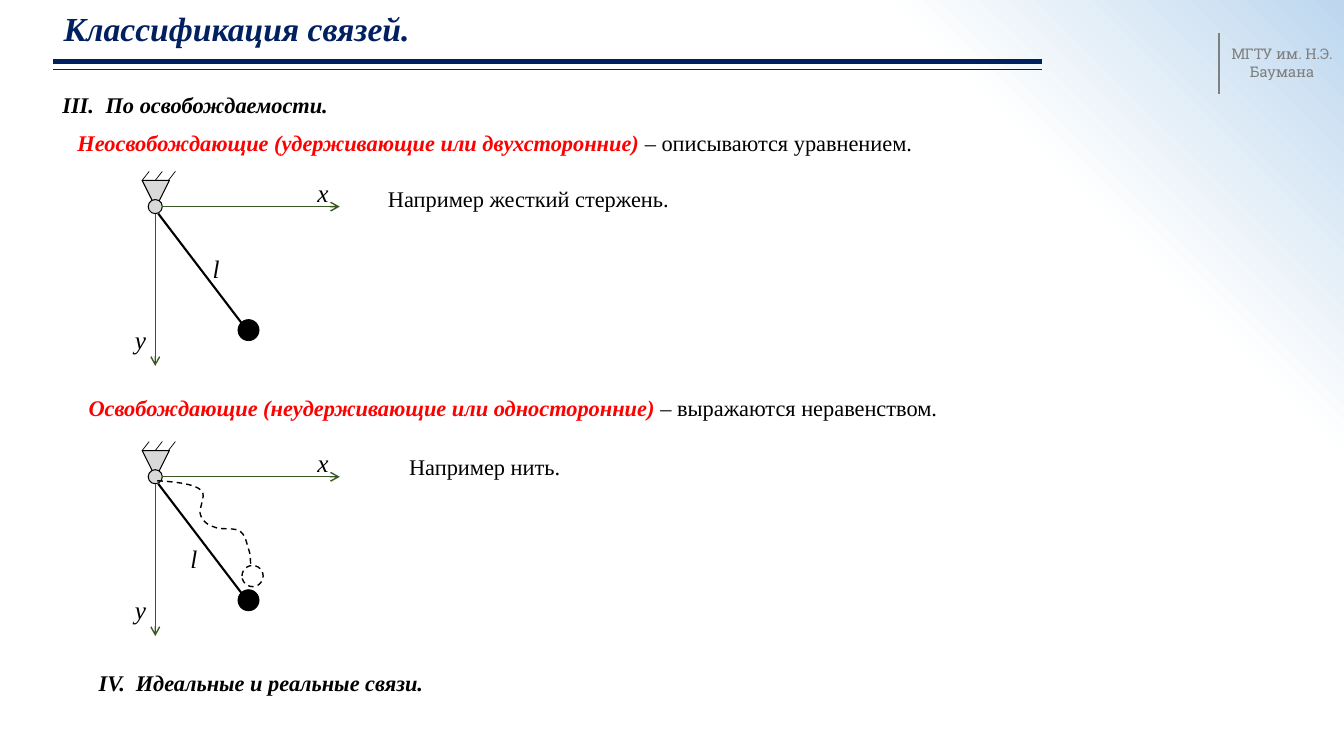
from dataclasses import dataclass

from lxml.etree import SubElement
from pptx import Presentation
from pptx.dml.color import RGBColor
from pptx.enum.dml import MSO_LINE_DASH_STYLE as Dash
from pptx.enum.shapes import MSO_CONNECTOR, MSO_SHAPE
from pptx.enum.text import MSO_ANCHOR, MSO_AUTO_SIZE, PP_ALIGN
from pptx.oxml.ns import qn
from pptx.util import Inches, Pt


@dataclass(frozen=True)
class Theme:
    navy: str = "002060"
    black: str = "000000"
    red: str = "FF0000"
    gray: str = "808080"
    support: str = "D9D9D9"
    axis: str = "385723"
    white: str = "FFFFFF"
    sky: str = "BDD7EE"
    serif: str = "Times New Roman"
    slab: str = "Roboto Slab"
    title: float = 24
    symbol: float = 18
    body: float = 16
    label: float = 10.5


THEME = Theme()


def style(color=THEME.black, size=THEME.body, name=THEME.serif, bold=False, italic=False):
    return {"color": color, "size": Pt(size), "name": name, "bold": bold, "italic": italic}


BODY = style()
HEADING = style(bold=True, italic=True)
TERM = style(THEME.red, bold=True, italic=True)
SYMBOL = style(size=THEME.symbol, italic=True)
TITLE = style(THEME.navy, THEME.title, bold=True, italic=True)
LABEL = style(THEME.gray, THEME.label, THEME.slab)

# Cubic segments of the slack thread, in inches on the slide
THREAD_START = (1.56, 4.77)
THREAD = [
    ((1.74, 4.78), (1.92, 4.8), (1.99, 4.86)),
    ((2.06, 4.91), (1.96, 5.05), (1.99, 5.11)),
    ((2.01, 5.17), (2.06, 5.21), (2.13, 5.23)),
    ((2.19, 5.26), (2.32, 5.23), (2.38, 5.27)),
    ((2.44, 5.31), (2.45, 5.41), (2.47, 5.46)),
    ((2.49, 5.52), (2.48, 5.57), (2.49, 5.6)),
]


def paint_background(slide):
    """Radial gradient centred on the bottom left corner."""
    fill = slide.background.fill
    fill.gradient()
    for stop, position, color in zip(fill.gradient_stops, (0.78, 1), (THEME.white, THEME.sky)):
        stop.position = position
        stop.color.rgb = RGBColor.from_string(color)
    linear = slide.element.find(".//" + qn("a:lin"))
    gradient = linear.getparent()
    gradient.remove(linear)
    circle = SubElement(gradient, qn("a:path"), {"path": "circle"})
    SubElement(circle, qn("a:fillToRect"), {"t": "100000", "r": "100000"})


def write_text(shape, runs, align=PP_ALIGN.LEFT, wrap=True, tab=None):
    frame = shape.text_frame
    frame.word_wrap = wrap
    frame.auto_size = MSO_AUTO_SIZE.SHAPE_TO_FIT_TEXT
    frame.vertical_anchor = MSO_ANCHOR.TOP
    paragraph = frame.paragraphs[0]
    paragraph.alignment = align
    if tab:
        tabs = SubElement(paragraph._p.get_or_add_pPr(), qn("a:tabLst"))
        SubElement(tabs, qn("a:tab"), {"pos": str(Inches(tab)), "algn": "l"})
    for text, text_style in runs:
        run = paragraph.add_run()
        run.text = text
        for attribute, value in text_style.items():
            if attribute == "color":
                run.font.color.rgb = RGBColor.from_string(value)
            else:
                setattr(run.font, attribute, value)


def add_text(parent, box, *runs, **options):
    shape = parent.shapes.add_textbox(*map(Inches, box))
    write_text(shape, runs, **options)


def add_title(slide, box, text):
    title = slide.shapes.title
    title.left, title.top, title.width, title.height = map(Inches, box)
    write_text(title, [(text, TITLE)])


def set_line(shape, color, width, dash=None):
    shape.line.color.rgb = RGBColor.from_string(color)
    shape.line.width = Pt(width)
    if dash:
        shape.line.dash_style = dash


def add_line(parent, start, end, color, width, arrow=False):
    points = map(Inches, (*start, *end))
    line = parent.shapes.add_connector(MSO_CONNECTOR.STRAIGHT, *points)
    set_line(line, color, width)
    properties = line.element.spPr
    if arrow:
        SubElement(properties.find(qn("a:ln")), qn("a:tailEnd"), {"type": "arrow"})
    SubElement(properties, qn("a:effectLst"))


def add_figure(parent, kind, box, fill=None, width=0.75, dash=None, rotation=0):
    shape = parent.shapes.add_shape(kind, *map(Inches, box))
    shape.shadow.inherit = False
    shape.rotation = rotation
    if fill:
        shape.fill.solid()
        shape.fill.fore_color.rgb = RGBColor.from_string(fill)
    else:
        shape.fill.background()
    set_line(shape, THEME.black, width, dash)


def add_pendulum(slide, top, symbol_left, symbol_top):
    """Hinged rod with its axes; top is the upper edge of the support."""
    group = slide.shapes.add_group_shape()
    add_figure(group, MSO_SHAPE.ISOSCELES_TRIANGLE, (1.41, top, 0.27, 0.27),
               THEME.support, rotation=180)
    add_figure(group, MSO_SHAPE.OVAL, (1.47, top + 0.19, 0.14, 0.14), THEME.support)
    for index in range(3):
        left = 1.41 + 0.13 * index
        add_line(group, (left, top), (left + 0.07, top - 0.09), THEME.black, 0.5)
    add_figure(group, MSO_SHAPE.OVAL, (2.36, top + 1.38, 0.21, 0.21), THEME.black, 0.5)
    add_line(group, (1.57, top + 0.33), (2.4, top + 1.42), THEME.black, 1.5)
    add_line(group, (1.61, top + 0.26), (3.37, top + 0.26), THEME.axis, 1, arrow=True)
    add_line(group, (1.54, top + 0.33), (1.54, top + 1.84), THEME.axis, 1, arrow=True)
    add_text(group, (3.05, top - 0.08, 0.32, 0.4), ("x", SYMBOL))
    add_text(group, (1.24, top + 1.38, 0.47, 0.4), ("y", SYMBOL))
    add_text(group, (symbol_left, symbol_top, 0.35, 0.4), ("l", SYMBOL))
    return group


def curve_points(start, segments, steps=10):
    for first, second, end in segments:
        for step in range(1, steps + 1):
            t = step / steps
            weights = ((1 - t) ** 3, 3 * t * (1 - t) ** 2, 3 * t * t * (1 - t), t ** 3)
            yield tuple(
                Inches(sum(weight * value for weight, value in zip(weights, axis)))
                for axis in zip(start, first, second, end)
            )
        start = end


def add_slack_thread(group):
    builder = group.shapes.build_freeform(*map(Inches, THREAD_START))
    builder.add_line_segments(list(curve_points(THREAD_START, THREAD)), close=False)
    thread = builder.convert_to_shape()
    thread.shadow.inherit = False
    thread.fill.background()
    set_line(thread, THEME.black, 1, Dash.DASH)
    add_figure(group, MSO_SHAPE.OVAL, (2.4, 5.61, 0.21, 0.21), width=1, dash=Dash.DASH)


def main():
    presentation = Presentation()
    presentation.slide_width = Inches(13.33)
    presentation.slide_height = Inches(7.5)
    slide = presentation.slides.add_slide(presentation.slide_layouts[5])
    paint_background(slide)

    add_line(slide, (12.09, 0.33), (12.09, 0.93), THEME.gray, 1.5)
    add_text(slide, (12.09, 0.4, 1.25, 0.45), ("МГТУ им. Н.Э. Баумана", LABEL),
             align=PP_ALIGN.CENTER)
    add_title(slide, (0.53, 0.03, 8.03, 0.5), "Классификация связей.")
    for top, width in ((0.61, 3.5), (0.69, 0.75)):
        add_line(slide, (0.53, top), (10.33, top), THEME.navy, width)

    add_text(slide, (0.52, 0.86, 2.87, 0.37), ("III.\tПо освобождаемости.", HEADING),
             wrap=False, tab=0.43)
    add_text(slide, (0.67, 1.23, 9.79, 0.37),
             ("Неосвобождающие (удерживающие или двухсторонние) ", TERM),
             ("– описываются уравнением.", BODY))
    add_pendulum(slide, 1.79, 2.01, 2.46)
    add_text(slide, (3.75, 1.79, 3.53, 0.37), ("Например жесткий стержень.", BODY))

    add_text(slide, (0.78, 3.86, 9.91, 0.37),
             ("Освобождающие (неудерживающие или односторонние) ", TERM),
             ("– выражаются неравенством.", BODY))
    add_slack_thread(add_pendulum(slide, 4.47, 1.79, 5.34))
    add_text(slide, (3.96, 4.45, 3.53, 0.37), ("Например нить.", BODY))
    add_text(slide, (0.88, 6.59, 3.47, 0.37), ("IV.\tИдеальные и реальные связи.", HEADING),
             wrap=False, tab=0.37)
    presentation.save("out.pptx")


if __name__ == "__main__":
    main()
